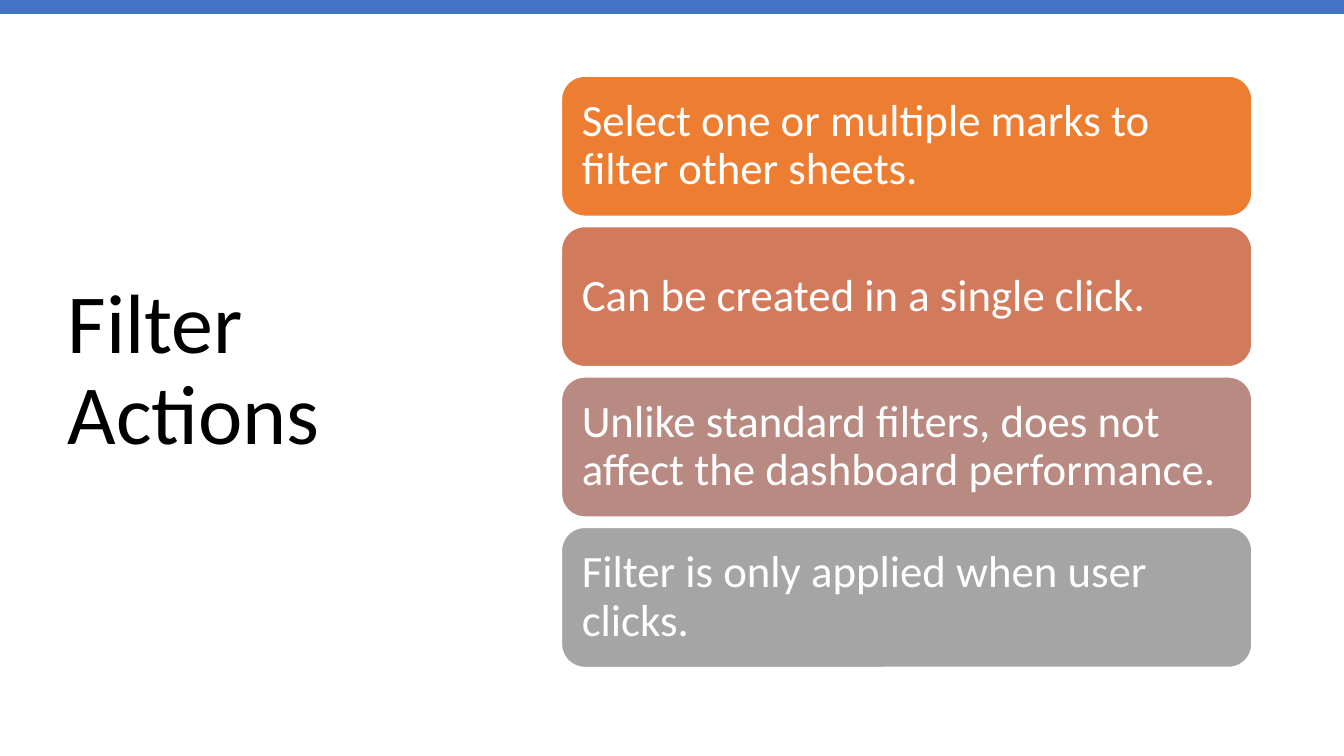
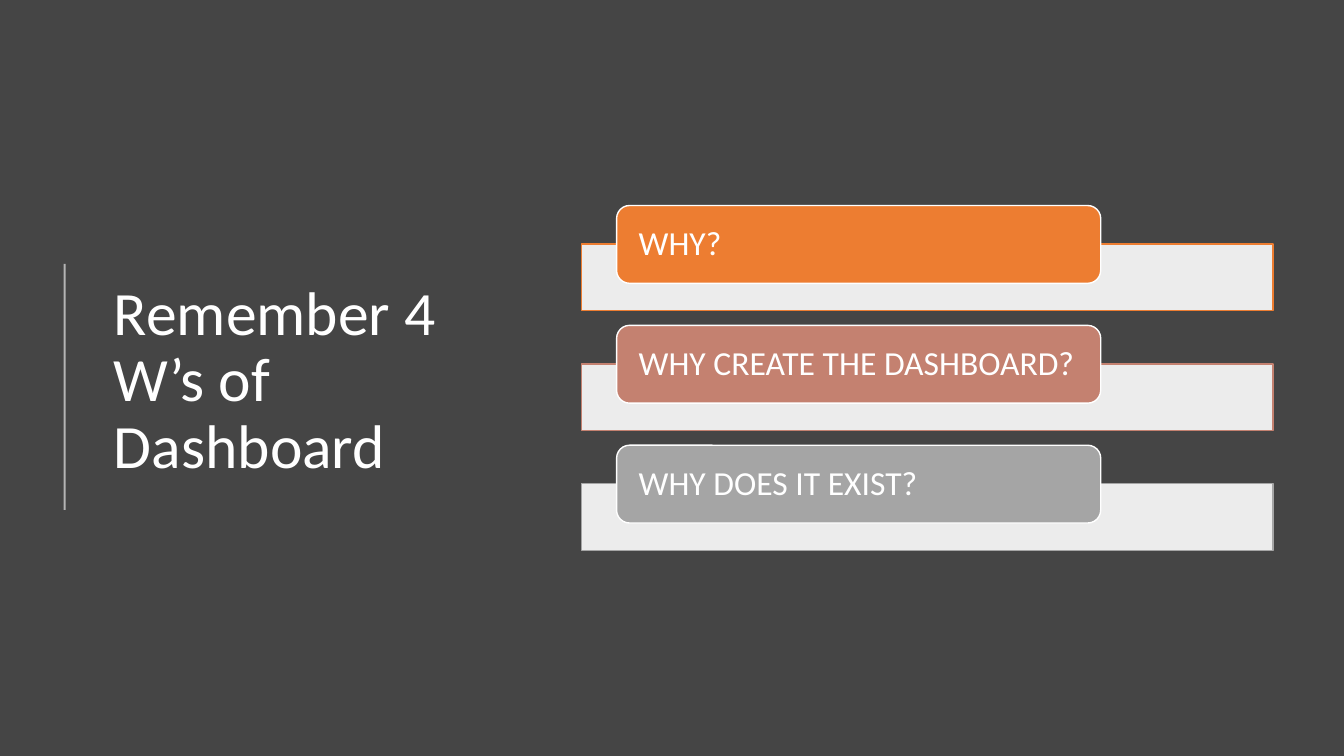
from dataclasses import dataclass

from lxml.etree import SubElement
from pptx import Presentation
from pptx.dml.color import RGBColor as Rgb
from pptx.enum.shapes import MSO_CONNECTOR as Wire, MSO_SHAPE as Form
from pptx.enum.text import MSO_ANCHOR as Anchor, MSO_AUTO_SIZE as Fit, PP_ALIGN as Align
from pptx.oxml.ns import qn
from pptx.util import Cm, Pt


@dataclass(frozen=True)
class Theme:
    font: str = "Calibri"
    white: str = "FFFFFF"
    black: str = "000000"
    dark: str = "454545"
    blue: str = "4472C4"
    cards: tuple = ("ED7D31", "D17B5C", "B98A82", "A5A5A5")
    tabs: tuple = ("ED7D31", "C48170", "A5A5A5")
    head: int = 60
    side: int = 44
    card: int = 32
    tab: int = 24


look = Theme()


def write(shape, text, size, color, pad_x=0.25, pad_y=0.13):
    frame = shape.text_frame
    frame.text = text
    para = frame.paragraphs[0]
    styles = (
        (frame, {
            "word_wrap": True, "auto_size": Fit.NONE,
            "vertical_anchor": Anchor.MIDDLE,
            "margin_left": Cm(pad_x), "margin_right": Cm(pad_x),
            "margin_top": Cm(pad_y), "margin_bottom": Cm(pad_y),
        }),
        (para, {"alignment": Align.LEFT, "line_spacing": 0.9}),
        (para.runs[0].font, {"name": look.font, "size": Pt(size)}),
    )
    for target, values in styles:
        for name, value in values.items():
            setattr(target, name, value)
    para.runs[0].font.color.rgb = Rgb.from_string(color)


def draw(slide, form, spot, fill, edge=None):
    shape = slide.shapes.add_shape(form, *map(Cm, spot))
    shape.shadow.inherit = False
    shape.fill.solid()
    shape.fill.fore_color.rgb = Rgb.from_string(fill)
    if edge:
        shape.line.color.rgb = Rgb.from_string(edge)
        shape.line.width = Pt(1)
    else:
        shape.line.fill.background()
    return shape


deck = Presentation()
deck.slide_width, deck.slide_height = Cm(33.87), Cm(19.05)

heads = (
    ("Filter Actions", (1.45, 1.73, 10.57, 15.29), look.head, look.black, look.white),
    ("Remember 4 W’s of Dashboard", (2.62, 1.98, 9.37, 15.29), look.side, look.white, look.dark),
)
for text, spot, size, color, back in heads:
    slide = deck.slides.add_slide(deck.slide_layouts[5])
    slide.background.fill.solid()
    slide.background.fill.fore_color.rgb = Rgb.from_string(back)
    title = slide.shapes.title
    title.left, title.top, title.width, title.height = map(Cm, spot)
    write(title, text, size, color)

first, second = deck.slides

draw(first, Form.RECTANGLE, (0, 0, 33.87, 0.35), look.blue)
points = (
    "Select one or multiple marks to filter other sheets.",
    "Can be created in a single click.",
    "Unlike standard filters, does not affect the dashboard performance.",
    "Filter is only applied when user clicks.",
)
for row, (text, color) in enumerate(zip(points, look.cards)):
    spot = (14.15, 1.92 + row * 3.79, 17.4, 3.53)
    card = draw(first, Form.ROUNDED_RECTANGLE, spot, color, look.white)
    write(card, text, look.card, look.white, 0.34, 0.34)

rule = second.shapes.add_connector(Wire.STRAIGHT, Cm(1.63), Cm(6.65), Cm(1.63), Cm(12.85))
rule.line.color.rgb = Rgb.from_string(look.white)
rule.line.width = Pt(1.5)
SubElement(rule.element.spPr, qn("a:effectLst"))
fades = [(rule.line.fill, 60)]

asks = ("WHY?", "WHY CREATE THE DASHBOARD?", "WHY DOES IT EXIST?")
for row, (text, color) in enumerate(zip(asks, look.tabs)):
    top = 5.18 + row * 3.02
    bar = draw(second, Form.RECTANGLE, (14.66, top + 0.97, 17.42, 1.68), look.white, color)
    fades.append((bar.fill, 90))
    tab = draw(second, Form.ROUNDED_RECTANGLE, (15.54, top, 12.2, 1.96), color, look.white)
    write(tab, text, look.tab, look.white, 0.46, 0)

for fill, share in fades:
    tint = fill.fore_color._color._xClr
    SubElement(tint, qn("a:alpha"), val=str(share * 1000))

deck.save("out.pptx")
